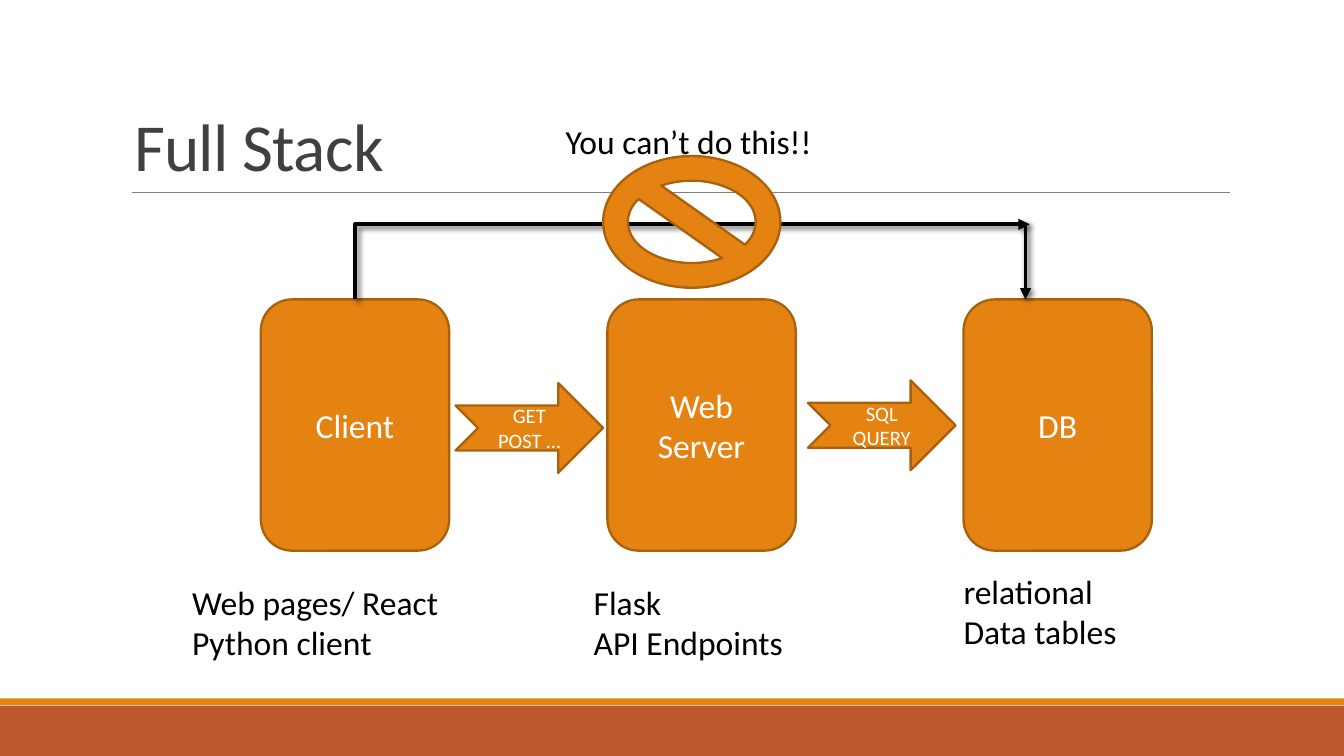
"""Build the Full Stack architecture slide."""
import pptx
import pptx.util
import pptx.dml.color
import pptx.enum.shapes
import pptx.enum.text
import pptx.oxml
import pptx.oxml.ns

Cm, Pt = pptx.util.Cm, pptx.util.Pt
SHAPE = pptx.enum.shapes.MSO_SHAPE
LINK = pptx.enum.shapes.MSO_CONNECTOR
ALIGN = pptx.enum.text.PP_ALIGN
ANCHOR = pptx.enum.text.MSO_ANCHOR
C = {"orange": "E48312", "edge": "A9610D", "rust": "BD582C", "rule": "808080",
     "title": "404040", "black": "000000", "white": "FFFFFF"}

BANDS = [((0, 13.34, 25.4, 0.95), "rust"), ((0, 13.2, 25.4, 0.13), "orange")]
TITLE = ("Full Stack", (2.29, 0.61, 20.96, 3.02))
WARNING = ("You can’t do this!!", (10.44, 2.16, 6.2, 1.02))
TIERS = [
    {"name": "Client", "left": 4.93, "notes": ["Web pages/ React", "Python client"], "at": (3.38, 10.87)},
    {"name": "Web Server", "left": 11.48, "notes": ["Flask", "API Endpoints"], "at": (10.97, 10.87)},
    {"name": "DB", "left": 18.21, "notes": ["relational", "Data tables"], "at": (17.96, 10.67)},
]
REQUESTS = [(["GET", "POST …"], (8.61, 7.24)), (["SQL QUERY"], (15.27, 7.19))]
TIER_TOP, TIER_SIZE = 5.66, (3.56, 4.75)
NOTE_SIZE, REQUEST_SIZE = (5.54, 1.8), (2.79, 1.7)
BYPASS = {"start": 6.71, "end": 19.46, "drop": 19.38, "top": 4.24}
BAN = (11.4, 2.95, 3.35, 2.49)
LABEL = {"size": Pt(18), "name": "Calibri"}
SHADOW = ('<a:effectLst %s><a:outerShdw blurRad="38100" dist="25400" dir="2700000" rotWithShape="0">'
          '<a:srgbClr val="000000"><a:alpha val="60000"/></a:srgbClr></a:outerShdw></a:effectLst>')
NS = pptx.oxml.ns.nsdecls("a")


def rgb(name):
    return pptx.dml.color.RGBColor.from_string(C[name])


def write(sp, lines, color, font=LABEL, align=None, anchor=ANCHOR.TOP):
    tf = sp.text_frame
    for key, value in {"word_wrap": True, "vertical_anchor": anchor}.items():
        setattr(tf, key, value)
    for i, line in enumerate(lines):
        p = tf.paragraphs[0] if i == 0 else tf.add_paragraph()
        p.alignment = align
        r = p.add_run()
        r.text = line
        for key, value in font.items():
            setattr(r.font, key, value)
        r.font.color.rgb = rgb(color)
    return tf


def shape(kind, box, fill="orange", edge="edge"):
    sp = s.shapes.add_shape(kind, *map(Cm, box))
    sp.shadow.inherit = False
    sp.fill.solid()
    sp.fill.fore_color.rgb = rgb(fill)
    if edge:
        sp.line.color.rgb = rgb(edge)
        sp.line.width = Pt(1.25)
    else:
        sp.line.fill.background()
    return sp


def textbox(box, lines, color="black", **style):
    return write(s.shapes.add_textbox(*map(Cm, box)), lines, color, **style)


def link(kind, ends, color, width, arrow=False):
    cx = s.shapes.add_connector(kind, *map(Cm, ends))
    cx.line.color.rgb = rgb(color)
    cx.line.width = Pt(width)
    effect = SHADOW % NS if arrow else f"<a:effectLst {NS}/>"
    if arrow:
        cx.line._get_or_add_ln().append(pptx.oxml.parse_xml(f'<a:tailEnd {NS} type="triangle"/>'))
    cx._element.spPr.append(pptx.oxml.parse_xml(effect))
    return cx


prs = pptx.Presentation()
prs.slide_width, prs.slide_height = Cm(25.4), Cm(14.29)
s = prs.slides.add_slide(prs.slide_layouts[6])

for box, fill in BANDS:
    shape(SHAPE.RECTANGLE, box, fill, None)
link(LINK.STRAIGHT, (2.49, 3.63, 23.24, 3.63), "rule", 0.5)

tf = textbox(TITLE[1], [TITLE[0]], "title", font={**LABEL, "size": Pt(36)}, anchor=ANCHOR.BOTTOM)
p = tf.paragraphs[0]
p.line_spacing = 0.85
p.runs[0].font._element.set("spc", "-40")

centred = {"align": ALIGN.CENTER, "anchor": ANCHOR.MIDDLE}
for tier in TIERS:
    sp = shape(SHAPE.ROUNDED_RECTANGLE, (tier["left"], TIER_TOP, *TIER_SIZE))
    write(sp, [tier["name"]], "white", **centred)
    textbox((*tier["at"], *NOTE_SIZE), tier["notes"])
for lines, at in REQUESTS:
    sp = shape(SHAPE.NOTCHED_RIGHT_ARROW, (*at, *REQUEST_SIZE))
    write(sp, lines, "white", font={**LABEL, "size": Pt(11)}, **centred)

rise, run = TIER_TOP - BYPASS["top"], BYPASS["end"] - BYPASS["start"]
mid_x, mid_y = BYPASS["start"] + run / 2, BYPASS["top"] + rise / 2
turned = (mid_x - rise / 2, mid_y - run / 2, mid_x + rise / 2, mid_y + run / 2)
cx = link(LINK.ELBOW, turned, "black", 2, arrow=True)
cx._element.spPr.prstGeom.set("prst", "bentConnector2")
cx._element.spPr.xfrm.set("rot", "16200000")
link(LINK.STRAIGHT, (BYPASS["drop"], BYPASS["top"], BYPASS["drop"], TIER_TOP), "black", 2, arrow=True)

shape(SHAPE.NO_SYMBOL, BAN)
textbox(WARNING[1], [WARNING[0]])
prs.save("out.pptx")
